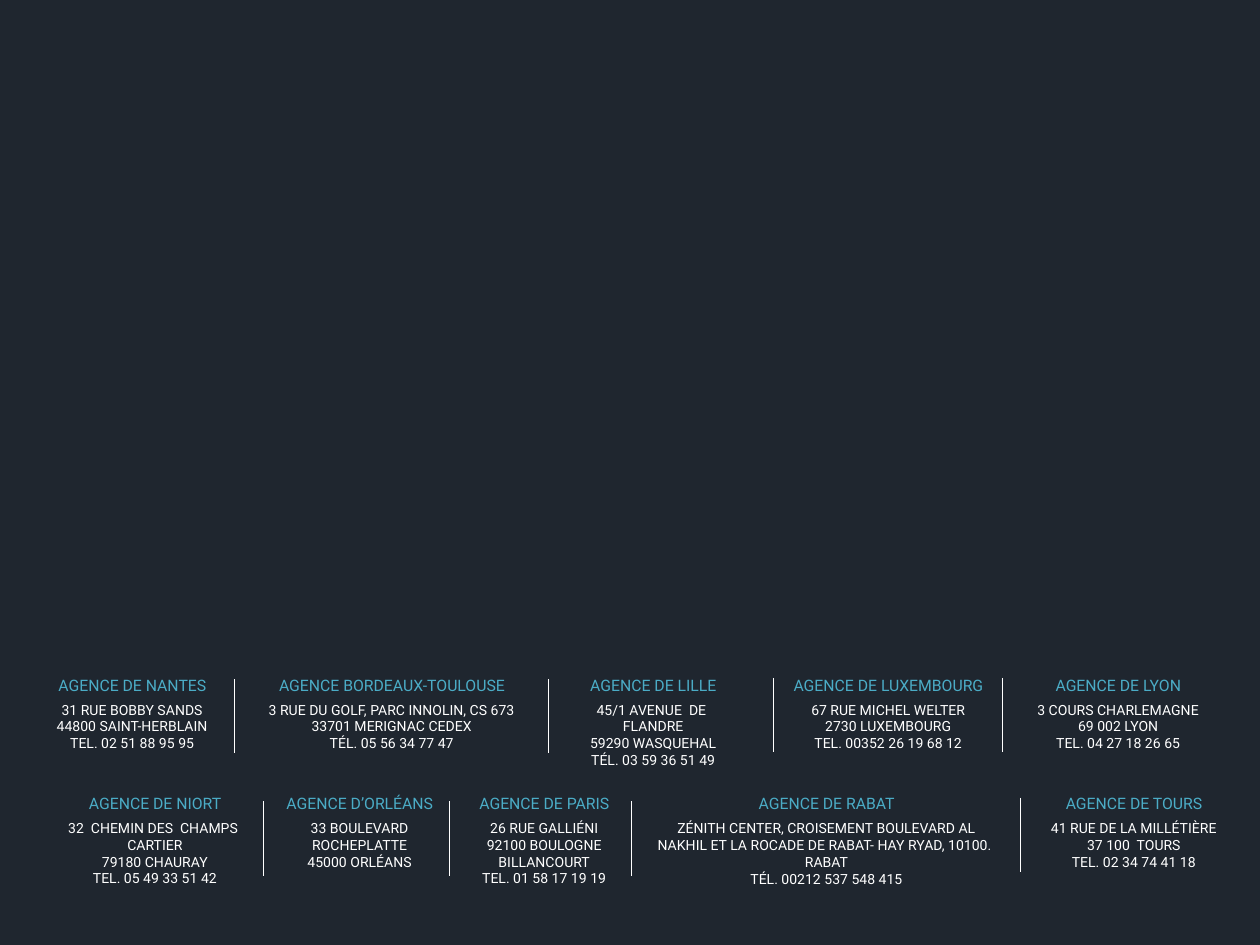
from lxml import etree
from pptx import Presentation
from pptx.dml.color import RGBColor
from pptx.enum.shapes import MSO_CONNECTOR
from pptx.enum.text import MSO_ANCHOR, PP_ALIGN
from pptx.oxml.ns import qn
from pptx.util import Inches, Pt

STRAIGHT = MSO_CONNECTOR.STRAIGHT
TOP = MSO_ANCHOR.TOP
CENTER = PP_ALIGN.CENTER

FONT = "Roboto"
NAVY, TEAL, WHITE = "1F262F", "4BACC6", "FFFFFF"
DIVIDER_HEIGHT = 0.59

# Each row: top, then (left, width, height, name, address lines) per agency
AGENCY_ROWS = [
    (5.36, [
        (0.25, 1.6, 0.66, "AGENCE DE NANTES",
         ["31 RUE BOBBY SANDS", "44800 SAINT-HERBLAIN", "TEL. 02 51 88 95 95"]),
        (1.99, 2.24, 0.66, "AGENCE BORDEAUX-TOULOUSE",
         ["3 RUE DU GOLF, PARC INNOLIN, CS 673", "33701 MERIGNAC CEDEX",
          "TÉL. 05 56 34 77 47"]),
        (4.37, 1.63, 0.66, "AGENCE DE LILLE",
         ["45/1 AVENUE  DE  FLANDRE", "59290 WASQUEHAL", "TÉL. 03 59 36 51 49"]),
        (6.14, 1.82, 0.66, "AGENCE DE LUXEMBOURG",
         ["67 RUE MICHEL WELTER", "2730 LUXEMBOURG", "TEL. 00352 26 19 68 12"]),
        (8.1, 1.55, 0.66, "AGENCE DE LYON",
         ["3 COURS CHARLEMAGNE", "69 002 LYON", "TEL. 04 27 18 26 65"]),
    ]),
    (6.3, [
        (0.39, 1.68, 0.8, "AGENCE DE NIORT",
         ["32  CHEMIN DES  CHAMPS  CARTIER", "79180 CHAURAY", "TEL. 05 49 33 51 42"]),
        (2.14, 1.43, 0.65, "AGENCE D’ORLÉANS",
         ["33 BOULEVARD ROCHEPLATTE", "45000 ORLÉANS"]),
        (3.64, 1.36, 0.84, "AGENCE DE PARIS",
         ["26 RUE GALLIÉNI", "92100 BOULOGNE BILLANCOURT", "TEL. 01 58 17 19 19"]),
        (5.05, 3.02, 0.79, "AGENCE DE RABAT",
         ["ZÉNITH CENTER, CROISEMENT BOULEVARD AL NAKHIL ET LA ROCADE "
          "DE RABAT- HAY RYAD, 10100.  RABAT", "TÉL. 00212 537 548 415"]),
        (8.22, 1.56, 0.66, "AGENCE DE TOURS",
         ["41 RUE DE LA MILLÉTIÈRE", "37 100  TOURS", "TEL. 02 34 74 41 18"]),
    ]),
]

# (x, top) of the rules between neighbouring agencies
DIVIDERS = [
    (1.86, 5.39), (4.35, 5.39), (6.14, 5.38), (7.96, 5.38),
    (2.09, 6.36), (3.57, 6.36), (5.01, 6.36), (8.1, 6.33),
]


def rgb(hex_color):
    return RGBColor.from_string(hex_color)


def write(p, text, size=8, color=WHITE, after=0):
    p.alignment = CENTER
    p.space_after = Pt(after)
    r = p.add_run()
    r.text = text
    r.font.name = FONT
    r.font.size = Pt(size)
    r.font.color.rgb = rgb(color)


def add_agency(s, left, top, width, height, name, address):
    box = s.shapes.add_textbox(Inches(left), Inches(top), Inches(width), Inches(height))
    tf = box.text_frame
    tf.word_wrap = True
    tf.vertical_anchor = TOP
    tf.margin_left = tf.margin_right = Inches(0.12)
    tf.margin_top = tf.margin_bottom = 0
    write(tf.paragraphs[0], name, size=9, color=TEAL, after=4)
    for line in address:
        write(tf.add_paragraph(), line)


def add_divider(s, x, top):
    line = s.shapes.add_connector(STRAIGHT, Inches(x), Inches(top),
                                  Inches(x), Inches(top + DIVIDER_HEIGHT))
    line.line.color.rgb = rgb(WHITE)
    line.line.width = Pt(0.5)
    etree.SubElement(line._element.spPr, qn("a:effectLst"))


def main():
    prs = Presentation()
    prs.slide_width, prs.slide_height = Inches(10), Inches(7.5)
    s = prs.slides.add_slide(prs.slide_layouts[6])
    s.background.fill.solid()
    s.background.fill.fore_color.rgb = rgb(NAVY)
    for top, agencies in AGENCY_ROWS:
        for left, width, height, name, address in agencies:
            add_agency(s, left, top, width, height, name, address)
    for x, top in DIVIDERS:
        add_divider(s, x, top)
    prs.save("out.pptx")


if __name__ == "__main__":
    main()
